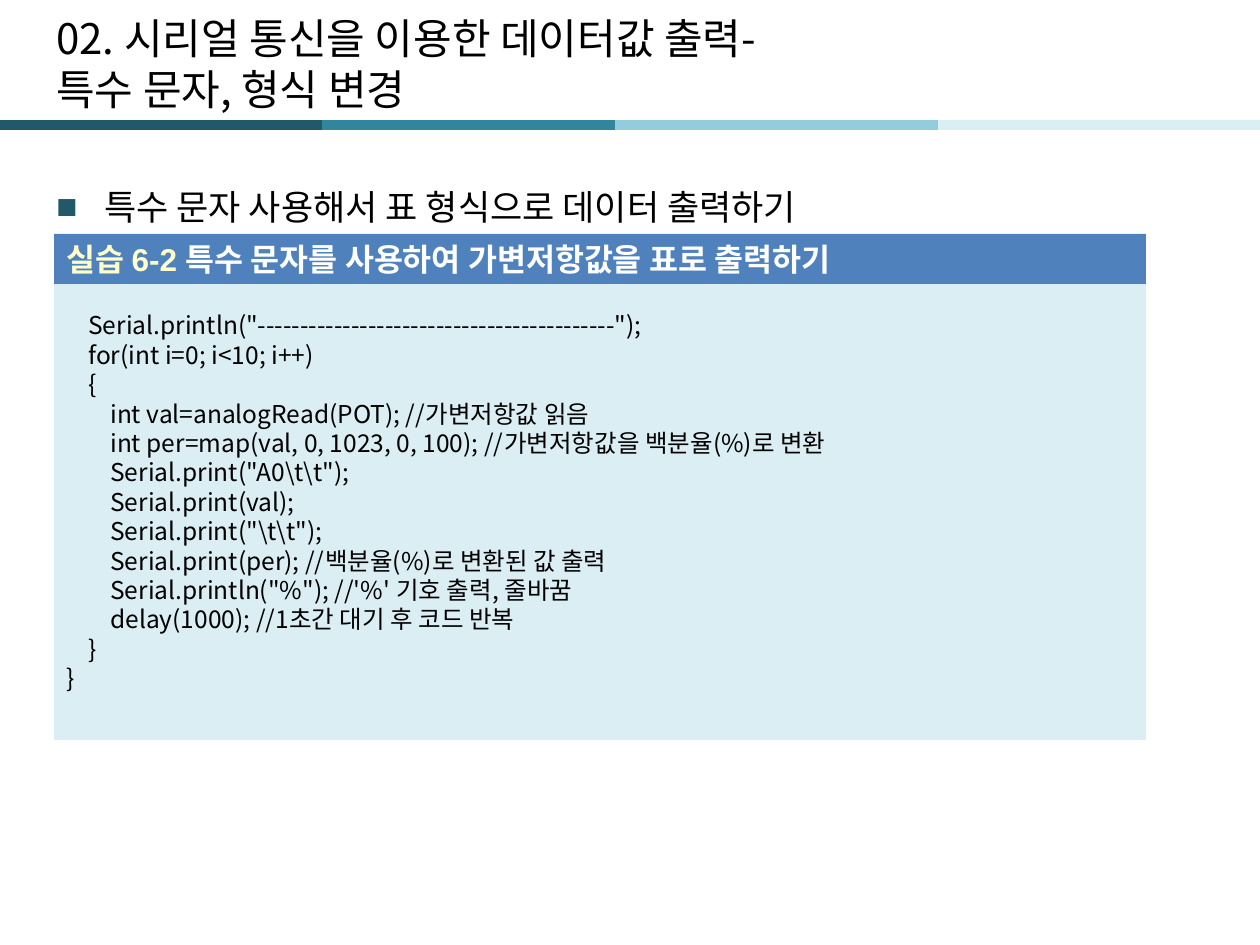
from dataclasses import dataclass

from lxml.etree import SubElement
from pptx import Presentation
from pptx.dml.color import RGBColor
from pptx.enum.shapes import MSO_CONNECTOR, MSO_SHAPE
from pptx.enum.text import MSO_ANCHOR, PP_ALIGN
from pptx.oxml.ns import qn
from pptx.util import Emu, Pt


@dataclass(frozen=True)
class Theme:
    ink: str = "000000"
    white: str = "FFFFFF"
    cream: str = "FFFFCC"
    blue: str = "4F81BD"
    teals: tuple = ("215968", "31859C", "93CDDD", "DBEEF4")
    font: str = "Noto Sans CJK KR"
    label_font: str = "Arial"
    title: int = 24
    body: int = 20
    label: int = 18
    code: int = 14
    rule: int = 6


def px(n):
    return Emu(round(n * 914400 / 126))


class Deck:
    """Draws each kind of element on the current slide in one style."""

    def __init__(self, theme):
        self.t = theme
        self.prs = Presentation()
        self.prs.slide_width, self.prs.slide_height = px(1260), px(945)
        self.s = self.prs.slides.add_slide(self.prs.slide_layouts[6])

    def run(self, p, text, size, color, font=None, bold=False):
        r = p.add_run()
        r.text = text
        r.font.size, r.font.bold = Pt(size), bold
        r.font.name = font or self.t.font
        r.font.color.rgb = RGBColor.from_string(color)
        SubElement(r.font._element, qn("a:ea"), typeface=self.t.font)

    def rule(self, x1, x2, y, color):
        ln = self.s.shapes.add_connector(
            MSO_CONNECTOR.STRAIGHT, px(x1), px(y), px(x2), px(y))
        ln.line.color.rgb = RGBColor.from_string(color)
        ln.line.width = Pt(self.t.rule)
        SubElement(ln._element.spPr, qn("a:effectLst"))

    def text(self, box, anchor):
        tf = self.s.shapes.add_textbox(*map(px, box)).text_frame
        tf.word_wrap, tf.vertical_anchor = True, anchor
        return tf

    def title(self, box, lines):
        p = self.text(box, MSO_ANCHOR.MIDDLE).paragraphs[0]
        p.line_spacing = Pt(29)
        for i, line in enumerate(lines):
            if i:
                p.add_line_break()
            self.run(p, line, self.t.title, self.t.ink)

    def bullet(self, box, text):
        p = self.text(box, MSO_ANCHOR.TOP).paragraphs[0]
        p.line_spacing = Pt(38)
        pPr = p._p.get_or_add_pPr()
        pPr.set("marL", str(px(48)))
        pPr.set("indent", str(-px(48)))
        SubElement(SubElement(pPr, qn("a:buClr")), qn("a:srgbClr"), val=self.t.teals[0])
        SubElement(pPr, qn("a:buFont"), typeface=self.t.label_font)
        SubElement(pPr, qn("a:buChar"), char="■")
        self.run(p, text, self.t.body, self.t.ink)

    def panel(self, box, fill):
        sp = self.s.shapes.add_shape(MSO_SHAPE.RECTANGLE, *map(px, box))
        sp.shadow.inherit = False
        sp.fill.solid()
        sp.fill.fore_color.rgb = RGBColor.from_string(fill)
        sp.line.fill.background()
        tf = sp.text_frame
        tf.word_wrap, tf.vertical_anchor = True, MSO_ANCHOR.MIDDLE
        tf.paragraphs[0].alignment = PP_ALIGN.LEFT
        return tf

    def code(self, box, source):
        tf = self.panel(box, self.t.teals[-1])
        for i, line in enumerate(source.splitlines()):
            p = tf.add_paragraph() if i else tf.paragraphs[0]
            p.alignment, p.line_spacing = PP_ALIGN.LEFT, Pt(16.8)
            self.run(p, line, self.t.code, self.t.ink)

    def label(self, box, number, text):
        p = self.panel(box, self.t.blue).paragraphs[0]
        for part, color in ((number, self.t.cream), (text, self.t.white)):
            self.run(p, part, self.t.label, color, self.t.label_font, True)


CODE = r'''    Serial.println("------------------------------------------");
    for(int i=0; i<10; i++)
    {
        int val=analogRead(POT); //가변저항값 읽음
        int per=map(val, 0, 1023, 0, 100); //가변저항값을 백분율(%)로 변환
        Serial.print("A0\t\t");
        Serial.print(val);
        Serial.print("\t\t");
        Serial.print(per); //백분율(%)로 변환된 값 출력
        Serial.println("%"); //'%' 기호 출력, 줄바꿈
        delay(1000); //1초간 대기 후 코드 반복
    }
}'''


def main():
    deck = Deck(Theme())
    stops = (0, 322, 615, 938, 1260)
    for x1, x2, color in zip(stops, stops[1:], deck.t.teals):
        deck.rule(x1, x2, 125, color)
    deck.title((44, 25, 1171, 76), ("02. 시리얼 통신을 이용한 데이터값 출력-", "특수 문자, 형식 변경"))
    deck.bullet((44, 155, 1171, 745), "특수 문자 사용해서 표 형식으로 데이터 출력하기")
    deck.code((54, 263, 1092, 477), CODE)
    deck.label((54, 234, 1092, 50), "실습 6-2 ", "특수 문자를 사용하여 가변저항값을 표로 출력하기")
    deck.prs.save("out.pptx")


if __name__ == "__main__":
    main()
